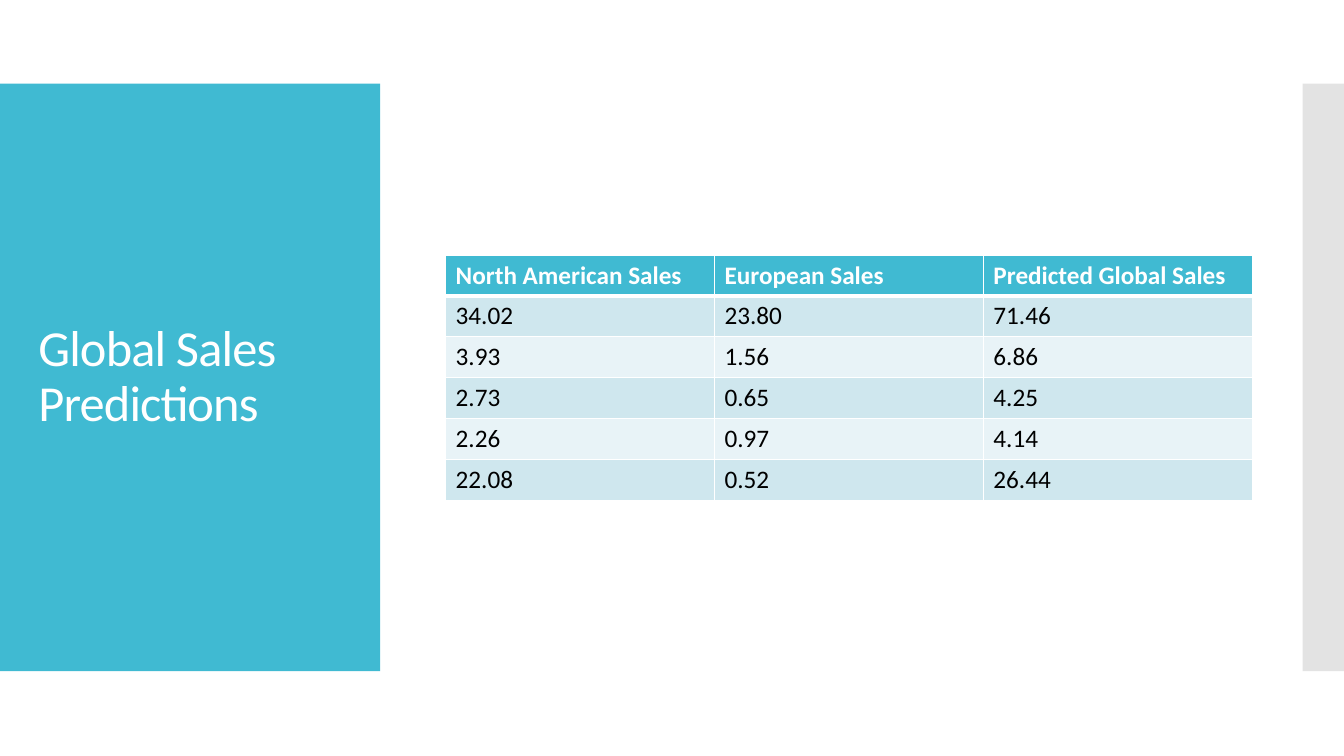
from lxml import etree
from pptx import Presentation
from pptx.dml.color import RGBColor as RGB
from pptx.enum.shapes import MSO_SHAPE as SHAPE
from pptx.enum.text import MSO_ANCHOR as ANCHOR
from pptx.oxml.ns import qn
from pptx.util import Inches, Pt

FONT = "Calibri"
COLORS = {
    "accent": "40BAD2",
    "edge": "C8C8C8",
    "band_dark": "CFE7EE",
    "band_light": "E8F3F7",
    "white": "FFFFFF",
    "black": "000000",
}
SALES = [
    ("North American Sales", "European Sales", "Predicted Global Sales"),
    ("34.02", "23.80", "71.46"),
    ("3.93", "1.56", "6.86"),
    ("2.73", "0.65", "4.25"),
    ("2.26", "0.97", "4.14"),
    ("22.08", "0.52", "26.44"),
]


def color(name):
    return RGB.from_string(COLORS[name])


def write(tf, text, size=18, fill="black", bold=False, line=None, spacing=None):
    p = tf.paragraphs[0]
    if line:
        p.line_spacing = line
    r = p.add_run()
    r.text = text
    r.font.name, r.font.size, r.font.bold = FONT, Pt(size), bold
    r.font.color.rgb = color(fill)
    if spacing is not None:
        r._r.get_or_add_rPr().set("spc", str(round(spacing * 100)))


def add_panel(s, left, width, fill, alpha=None):
    """Add a side panel behind everything already on the slide."""
    sp = s.shapes.add_shape(SHAPE.RECTANGLE, Inches(left), Inches(0.83),
                            Inches(width), Inches(5.83))
    sp.shadow.inherit = False
    sp.line.fill.background()
    sp.fill.solid()
    sp.fill.fore_color.rgb = color(fill)
    if alpha is not None:
        clr = sp._element.spPr.find(qn("a:solidFill"))[0]
        etree.SubElement(clr, qn("a:alpha")).set("val", str(alpha * 1000))
    s.shapes._spTree.insert(2, sp._element)


def set_title(s, text):
    sp = s.shapes.title
    sp.left, sp.top = Inches(0.28), Inches(1.23)
    sp.width, sp.height = Inches(3.22), Inches(5.03)
    tf = sp.text_frame
    tf.word_wrap = True
    tf.vertical_anchor = ANCHOR.MIDDLE
    write(tf, text, size=36, fill="white", line=0.9, spacing=-0.6)
    tf.paragraphs[0]._p.get_or_add_pPr().set("algn", "l")


def set_borders(cell, **widths):
    """Draw white cell borders, 1 pt unless a side is given a width."""
    tcPr = cell._tc.get_or_add_tcPr()
    for i, side in enumerate(("L", "R", "T", "B")):
        ln = etree.Element(qn(f"a:ln{side}"), w=str(Pt(widths.get(side, 1))))
        fill = etree.SubElement(ln, qn("a:solidFill"))
        etree.SubElement(fill, qn("a:srgbClr")).set("val", COLORS["white"])
        tcPr.insert(i, ln)


def add_sales_table(s, rows):
    table = s.shapes.add_table(len(rows), len(rows[0]), Inches(4.42),
                               Inches(2.53), Inches(8), Inches(2.43)).table
    for i, row in enumerate(rows):
        header = i == 0
        band = "accent" if header else "band_dark" if i % 2 else "band_light"
        for j, text in enumerate(row):
            cell = table.cell(i, j)
            cell.fill.solid()
            cell.fill.fore_color.rgb = color(band)
            write(cell.text_frame, text, bold=header,
                  fill="white" if header else "black")
            set_borders(cell, T=3 if i == 1 else 1, B=3 if header else 1)


def main():
    prs = Presentation()
    prs.slide_width, prs.slide_height = Inches(13.33), Inches(7.5)
    s = prs.slides.add_slide(prs.slide_layouts[5])

    # Side panels
    add_panel(s, 0, 3.77, "accent")
    add_panel(s, 12.92, 0.41, "edge", alpha=50)

    # Title and table
    set_title(s, "Global Sales Predictions")
    add_sales_table(s, SALES)

    prs.save("out.pptx")


main()
